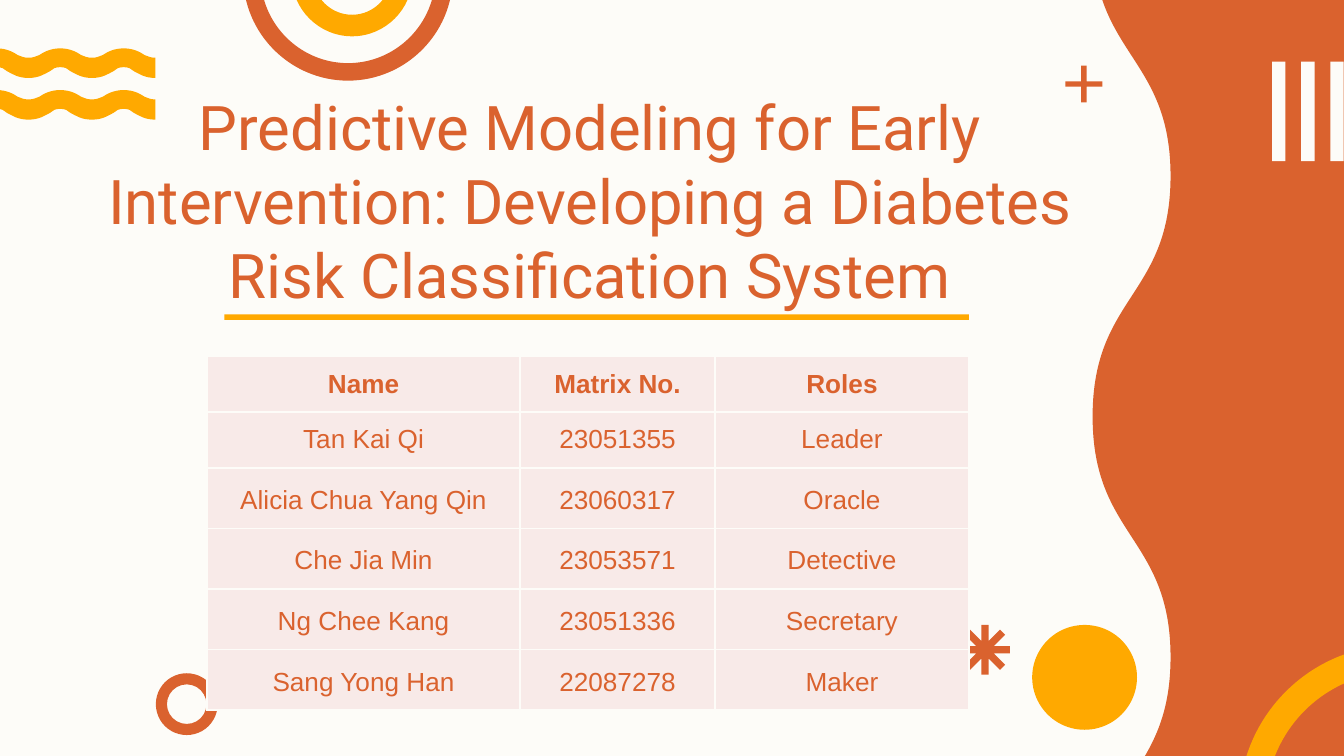
from dataclasses import dataclass
from math import atan, cos, hypot, pi, sin

from lxml.etree import SubElement
from pptx import Presentation
from pptx.dml.color import RGBColor as Rgb
from pptx.enum.shapes import MSO_SHAPE as Shape
from pptx.enum.text import MSO_ANCHOR as Anchor, PP_ALIGN as Align
from pptx.oxml.ns import qn
from pptx.util import Inches, Pt


@dataclass(frozen=True)
class Theme:
    """Colours, fonts and type sizes of the slide."""
    paper: str = "FDFCF8"
    rust: str = "DA622E"
    amber: str = "FFA900"
    blush: str = "F8EAE8"
    title_font: str = "Roboto"
    body_font: str = "Arial"
    title_size: int = 33
    body_size: int = 14
    border: int = 1


T = Theme()
WIDTH, HEIGHT = 10, 5.625
BROAD_CREST = [(0.4, 0), (0.5, 0.1), (0.8, 0.2), (1.1, 0.4), (1.6, 0.7), (2.36, 0.7)]
BROAD_TROUGH = [(0.8, 0), (1.2, 0.3), (1.6, 0.5), (1.8, 0.7), (2, 0.8), (2.36, 0.8)]
TITLE = ("Predictive Modeling for Early Intervention: "
         "Developing a Diabetes Risk Classification System")
TEAM = [
    ("Name", "Matrix No.", "Roles"),
    ("Tan Kai Qi", "23051355", "Leader"),
    ("Alicia Chua Yang Qin", "23060317", "Oracle"),
    ("Che Jia Min", "23053571", "Detective"),
    ("Ng Chee Kang", "23051336", "Secretary"),
    ("Sang Yong Han", "22087278", "Maker"),
]


def u(share):
    """Turn a percentage of the slide's width into a length."""
    return Inches(WIDTH * share / 100)


def apply(obj, **values):
    """Set each given attribute on an object."""
    for name, value in values.items():
        setattr(obj, name, value)


def paint(sp, color):
    """Give a shape a flat fill without line or shadow."""
    sp.shadow.inherit = False
    sp.fill.solid()
    sp.fill.fore_color.rgb = Rgb.from_string(color)
    sp.line.fill.background()


def preset(s, kind, box, color):
    """Add a plain preset shape."""
    sp = s.shapes.add_shape(kind, *map(u, box))
    paint(sp, color)
    return sp


def outline(s, start, segments, color):
    """Add a closed freeform of lines (one point) and curves (three points)."""
    points = [(u(x), u(y)) for segment in segments for x, y in segment]
    builder = s.shapes.build_freeform(*map(u, start), scale=1.0)
    builder.add_line_segments(points, close=True)
    sp = builder.convert_to_shape()
    steps = iter(list(sp._element.iter(qn("a:lnTo"))))
    for segment in segments:
        first, *rest = [next(steps) for _ in segment]
        if rest:
            first.tag = qn("a:cubicBezTo")
            for step in rest:
                first.append(step[0])
                step.getparent().remove(step)
    paint(sp, color)


def curves(points):
    """Group points in threes, one group for each curve."""
    return [points[i:i + 3] for i in range(0, len(points), 3)]


def quarter(cx, cy, r, a, turn):
    """Return the curve of a quarter circle from an angle."""
    b, k = a + turn * pi / 2, 0.55 * turn
    return [(cx + r * (cos(a) - k * sin(a)), cy + r * (sin(a) + k * cos(a))),
            (cx + r * (cos(b) + k * sin(b)), cy + r * (sin(b) - k * cos(b))),
            (cx + r * cos(b), cy + r * sin(b))]


def half_ring(s, cx, cy, outer, inner, start, color):
    """Add half of a ring that sweeps clockwise from the start angle."""
    side = cos(start)
    path = [quarter(cx, cy, outer, start + i * pi / 2, 1) for i in (0, 1)]
    path += [[(cx - inner * side, cy)]]
    path += [quarter(cx, cy, inner, start + i * pi / 2, -1) for i in (2, 1)]
    outline(s, (cx + outer * side, cy), path, color)


def burst(s, cx, cy, arms, length, half, color):
    """Add a star of straight arms, such as a plus or an asterisk."""
    step = 2 * pi / arms
    notch = half / sin(step / 2)
    spread, reach = atan(half / length), hypot(length, half)
    polar = []
    for a in (i * step for i in range(arms)):
        polar += [(a - spread, reach), (a + spread, reach), (a + step / 2, notch)]
    first, *rest = [(cx + r * cos(a), cy + r * sin(a)) for a, r in polar]
    outline(s, first, [[point] for point in rest], color)


def wave_edge(x, y, way, profile, waves):
    """Return the curves of a wave that rises and falls along one way."""
    period = 2 * profile[-1][0]
    back = [(period - dx, dy) for dx, dy in reversed([(0, 0)] + profile[:-1])]
    return curves([(x + way * (i * period + dx), y - dy)
                   for i in range(waves) for dx, dy in profile + back])


def ribbon(s, left, top, color, waves=3):
    """Add a wavy band."""
    right = left + 2 * BROAD_CREST[-1][0] * waves
    high, low = top + 0.7, top + 2.2
    path = wave_edge(left, high, 1, BROAD_CREST, waves) + [[(right, low)]]
    path += wave_edge(right, low, -1, BROAD_TROUGH, waves)
    outline(s, (left, high), path, color)


def wavy_panel(s, left, crest, right, top, bottom, color):
    """Add the side panel with its S-curved left edge."""
    start, step = -4.8, 17.9
    path = [[(84, -12.8), (left, -10.9), (left, start)]]
    for k in range(4):
        a, b = (crest, left) if k % 2 else (left, crest)
        y = start + step * k
        path.append([(a, y + step / 2), (b, y + step / 2), (b, y + step)])
    path += [[(left, 69.2), (81.8, 71), (82.4, bottom)]]
    outline(s, (85.7, top), path + [[(right, bottom)], [(right, top)]], color)


def write(p, text, font, size, bold=False):
    """Write one centred run in a paragraph."""
    p.alignment = Align.CENTER
    r = p.add_run()
    r.text = text
    apply(r.font, name=font, size=Pt(size), bold=bold)
    r.font.color.rgb = Rgb.from_string(T.rust)


def title(s, box):
    """Add the wrapped title."""
    tf = s.shapes.add_textbox(*map(u, box)).text_frame
    margins = dict.fromkeys(
        ("margin_left", "margin_right", "margin_top", "margin_bottom"), u(1))
    apply(tf, word_wrap=True, vertical_anchor=Anchor.TOP, **margins)
    write(tf.paragraphs[0], TITLE, T.title_font, T.title_size)


def borders(cell):
    """Draw a thin line on each side of a cell."""
    props = cell._tc.get_or_add_tcPr()
    for side in "LRTB":
        ln = SubElement(props, qn(f"a:ln{side}"), w=str(Pt(T.border)))
        fill = SubElement(ln, qn("a:solidFill"))
        SubElement(fill, qn("a:srgbClr"), val=T.paper)


def team_table(s, box, columns, head, body):
    """Add the team table with its looser body rows."""
    table = s.shapes.add_table(len(TEAM), len(columns), *map(u, box)).table
    apply(table, first_row=False, horz_banding=False)
    for column, width in zip(table.columns, columns):
        column.width = u(width)
    for i, record in enumerate(TEAM):
        loose = i > 1
        side = u(0.3 if loose else 1)
        table.rows[i].height = u(body if loose else head)
        for j, text in enumerate(record):
            cell = table.cell(i, j)
            borders(cell)
            cell.fill.solid()
            cell.fill.fore_color.rgb = Rgb.from_string(T.blush)
            apply(cell, margin_left=side, margin_right=side, margin_top=u(0.91),
                  margin_bottom=u(0.91),
                  vertical_anchor=Anchor.TOP if i == 1 else Anchor.MIDDLE)
            p = cell.text_frame.paragraphs[0]
            if loose:
                p.line_spacing = 1.15
            write(p, text, T.body_font, T.body_size, bold=i == 0)


def decorate(s):
    """Add the ornaments around the content."""
    wavy_panel(s, 81.3, 87.1, 108, -16.2, 72.5, T.rust)
    for top in (3.6, 6.7):
        ribbon(s, -2.6, top, T.amber)
    ring = preset(s, Shape.DONUT, (11.6, 50.1, 4.6, 4.6), T.rust)
    ring.adjustments[0] = 0.18
    for i in range(3):
        preset(s, Shape.RECTANGLE, (94.65 + 2.17 * i, 4.6, 1, 7.4), T.paper)
    half_ring(s, 25.9, -1.8, 7.8, 6.5, 0, T.rust)
    half_ring(s, 26.2, -1.8, 4.5, 2.9, 0, T.amber)
    burst(s, 73.3, 48.35, 8, 1.85, 0.27, T.rust)
    burst(s, 80.65, 6.25, 4, 1.37, 0.2, T.rust)
    half_ring(s, 104, 59.8, 11.8, 9.8, pi, T.amber)
    half_ring(s, 104, 59.8, 5.3, 3.4, pi, T.paper)
    preset(s, Shape.OVAL, (76.8, 46.5, 7.8, 7.8), T.amber)


def main():
    """Build the slide and save it."""
    prs = Presentation()
    apply(prs, slide_width=Inches(WIDTH), slide_height=Inches(HEIGHT))
    s = prs.slides.add_slide(prs.slide_layouts[6])
    s.background.fill.solid()
    s.background.fill.fore_color.rgb = Rgb.from_string(T.paper)
    decorate(s)
    title(s, (5.4, 5.6, 77, 21.4))
    preset(s, Shape.RECTANGLE, (16.7, 23.4, 55.4, 0.4), T.amber)
    team_table(s, (15.4, 26.5, 56.7, 26.7), (23.3, 14.5, 18.9), 4.1, 4.5)
    prs.save("out.pptx")


if __name__ == "__main__":
    main()
